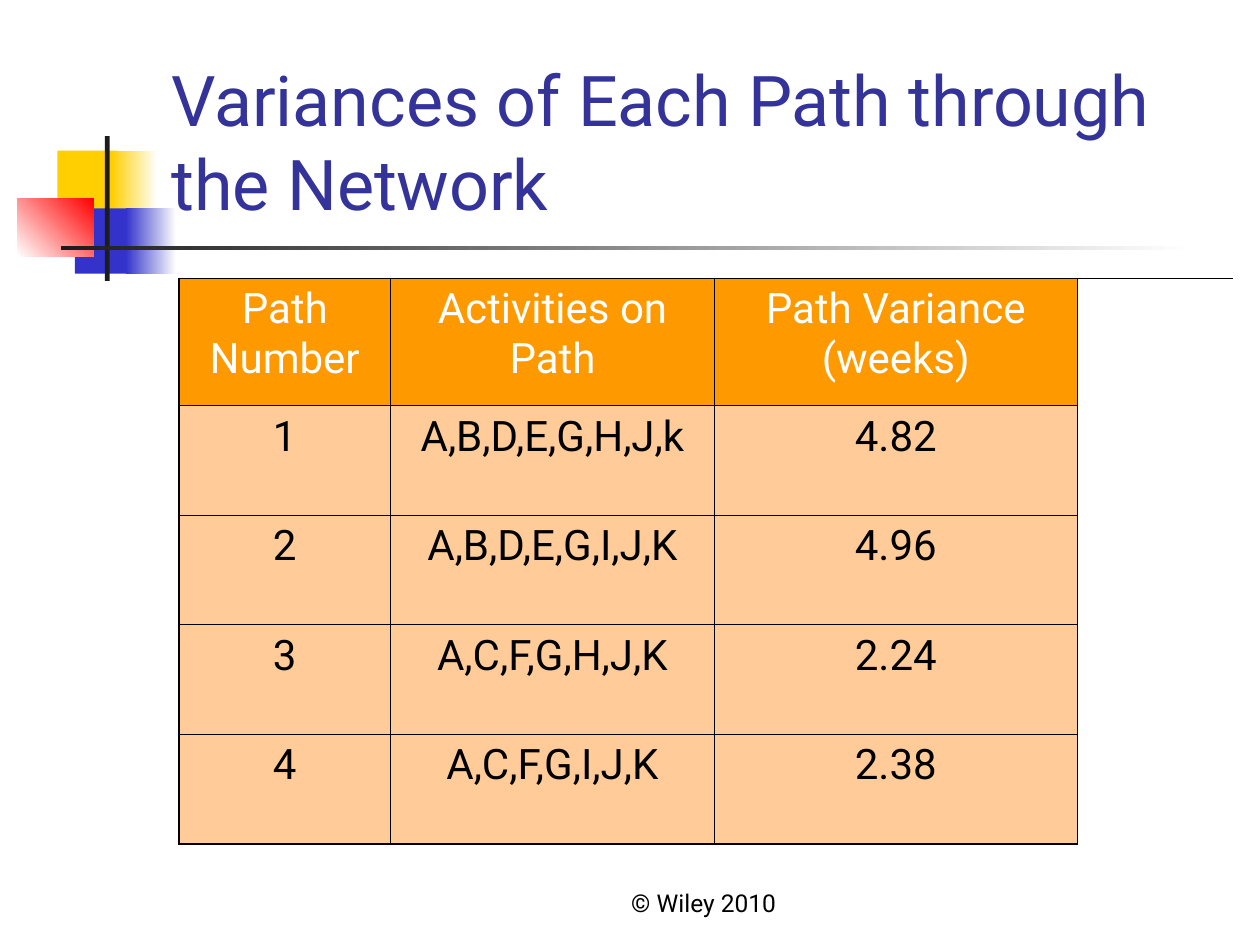
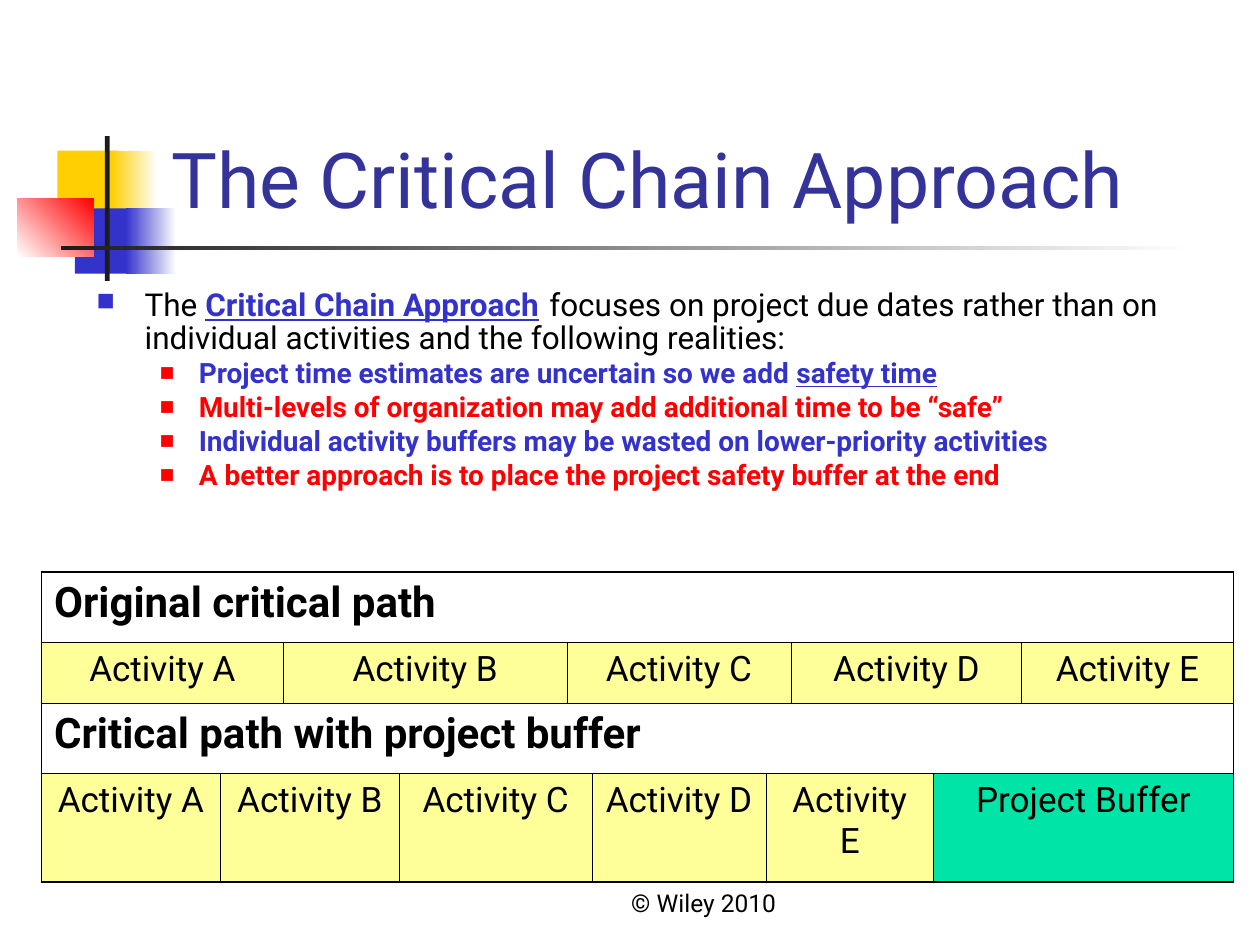
import dataclasses
import itertools

import pptx
import pptx.dml.color
import pptx.enum.shapes
import pptx.enum.text
import pptx.oxml.ns
import pptx.util
from lxml import etree

FONT = "Roboto"
COLORS = {
    "title": "333399", "text": "000000", "white": "FFFFFF", "ink": "1C1C1C",
    "yellow": "FFCF01", "blue": "3333CC", "red": "FF0000",
    "header": "FF9900", "cell": "FFCC99", "activity": "FFFF99", "buffer": "00E4A8",
}
OUTER_LINE, INNER_LINE = 1.08, 0.45
LEFT, CENTER = pptx.enum.text.PP_ALIGN.LEFT, pptx.enum.text.PP_ALIGN.CENTER


@dataclasses.dataclass
class Box:
    left: float
    top: float
    width: float
    height: float

    def share(self, left, top, width, height):
        """Return a box given as shares of this one."""
        return Box(self.left + left * self.width, self.top + top * self.height,
                   width * self.width, height * self.height)

    def inches(self):
        return [pptx.util.Inches(length) for length in
                (self.left, self.top, self.width, self.height)]


@dataclasses.dataclass
class Block:
    """A table cell, or several merged into one."""
    row: int
    column: int
    text: str = ""
    fill: str = ""
    rows: int = 1
    columns: int = 1
    size: int = 24
    color: str = "text"
    bold: bool = False
    align: object = CENTER
    open_sides: str = ""


SLIDE = Box(0, 0, 10, 7.5)
EMBLEM = Box(0.14, 1.08, 1.26, 1.15)
TITLE = Box(1.26, 0.23, 8.52, 1.6)
FOOTER = Box(4, 6.83, 3.17, 0.5)


def rgb(name):
    return pptx.dml.color.RGBColor.from_string(COLORS[name])


def style_font(font, size, color, bold=False):
    font.name = FONT
    font.size = pptx.util.Pt(size)
    font.bold = bold
    font.color.rgb = rgb(color)


# Shared slide parts
def add_block_shape(page, box, colors, angle=0):
    shape = page.shapes.add_shape(pptx.enum.shapes.MSO_SHAPE.RECTANGLE, *box.inches())
    shape.shadow.inherit = False
    shape.line.fill.background()
    if len(colors) == 1:
        shape.fill.solid()
        shape.fill.fore_color.rgb = rgb(colors[0])
    else:
        shape.fill.gradient()
        shape.fill.gradient_angle = angle
        for stop, color in zip(shape.fill.gradient_stops, colors):
            stop.color.rgb = rgb(color)


def add_emblem(page, box):
    for color, top, solid, fade in (
            ("yellow", 0.1, (0.25, 0.38), (0.59, 0.29)),
            ("blue", 0.5, (0.36, 0.37), (0.68, 0.32))):
        for (left, width), colors in ((solid, [color]), (fade, [color, "white"])):
            add_block_shape(page, box.share(left, top, width, 0.45), colors)
    add_block_shape(page, box.share(0, 0.43, 0.48, 0.4), ["white", "red"], 45)
    add_block_shape(page, box.share(0.55, 0, 0.03, 1), ["ink"])
    add_block_shape(page, box.share(0.27, 0.76, 7.14, 0.03), ["ink", "white"])


def add_text_frame(page, box):
    frame = page.shapes.add_textbox(*box.inches()).text_frame
    frame.word_wrap = True
    return frame


def add_footer(page, box):
    frame = add_text_frame(page, box)
    frame.vertical_anchor = pptx.enum.text.MSO_ANCHOR.BOTTOM
    para = frame.paragraphs[0]
    para.text = "© Wiley 2010"
    para.alignment = CENTER
    style_font(para.font, 14, "text")


def place_title(page, box, text, size):
    title = page.shapes.title
    title.left, title.top, title.width, title.height = box.inches()
    title.element.getparent().append(title.element)  # in front of the emblem
    frame = title.text_frame
    frame.text = text
    frame.word_wrap = True
    frame.auto_size = pptx.enum.text.MSO_AUTO_SIZE.NONE
    frame.vertical_anchor = pptx.enum.text.MSO_ANCHOR.BOTTOM
    para = frame.paragraphs[0]
    para.alignment = LEFT
    style_font(para.font, size, "title")


def add_page(deck, title, title_size):
    page = deck.slides.add_slide(deck.slide_layouts.get_by_name("Title Only"))
    add_emblem(page, EMBLEM)
    add_footer(page, FOOTER)
    place_title(page, TITLE, title, title_size)
    return page


# Tables
def add_element(parent, tag, **attributes):
    return etree.SubElement(parent, pptx.oxml.ns.qn(tag), **attributes)


def set_border(cell, side, width):
    line = add_element(cell._tc.get_or_add_tcPr(), f"a:ln{side}",
                       w=str(pptx.util.Pt(width)))
    if width:
        fill = add_element(line, "a:solidFill")
        add_element(fill, "a:srgbClr", val=COLORS["text"])
    else:
        add_element(line, "a:noFill")


def draw_borders(table, block):
    bottom, right = block.row + block.rows, block.column + block.columns
    at_table_edge = {"L": block.column == 0, "R": right == len(table.columns),
                     "T": block.row == 0, "B": bottom == len(table.rows)}
    for row, column in itertools.product(range(block.row, bottom),
                                         range(block.column, right)):
        is_origin = (row, column) == (block.row, block.column)
        at_block_edge = {"L": column == block.column, "R": column == right - 1,
                         "T": row == block.row, "B": row == bottom - 1}
        for side, outer in at_table_edge.items():
            shown = (is_origin or at_block_edge[side]) and side not in block.open_sides
            width = OUTER_LINE if outer else INNER_LINE
            set_border(table.cell(row, column), side, width if shown else 0)


def fill_block(table, block):
    cell = table.cell(block.row, block.column)
    if block.rows * block.columns > 1:
        cell.merge(table.cell(block.row + block.rows - 1,
                              block.column + block.columns - 1))
    draw_borders(table, block)
    if block.fill:
        cell.fill.solid()
        cell.fill.fore_color.rgb = rgb(block.fill)
    else:
        cell.fill.background()
    para = cell.text_frame.paragraphs[0]
    para.text = block.text
    para.alignment = block.align
    style_font(para.font, block.size, block.color, block.bold)


def add_block_table(page, left, top, widths, heights, blocks):
    box = Box(left, top, sum(widths), sum(heights))
    table = page.shapes.add_table(len(heights), len(widths), *box.inches()).table
    table.first_row = table.horz_banding = False
    for column, width in zip(table.columns, widths):
        column.width = pptx.util.Inches(width)
    for row, height in zip(table.rows, heights):
        row.height = pptx.util.Inches(height)
    for block in blocks:
        fill_block(table, block)


def add_variance_table(page, left, top):
    records = [
        ("Path Number", "Activities on Path", "Path Variance (weeks)"),
        ("1", "A,B,D,E,G,H,J,k", "4.82"),
        ("2", "A,B,D,E,G,I,J,K", "4.96"),
        ("3", "A,C,F,G,H,J,K", "2.24"),
        ("4", "A,C,F,G,I,J,K", "2.38"),
    ]
    blocks = [Block(row, column, text, "cell" if row else "header",
                    color="text" if row else "white")
              for row, record in enumerate(records)
              for column, text in enumerate(record)]
    blocks.append(Block(0, 3, rows=len(records), open_sides="RB"))
    add_block_table(page, left, top, [1.68, 2.57, 2.88, 1.24],
                    [1.01] + [0.87] * 4, blocks)


def add_path_table(page, left, top):
    widths = [1.42, 0.5, 0.92, 1.33, 0.2, 1.38, 0.2, 1.13, 0.7, 1.68]
    # Each path: its heading and the columns that its steps span
    paths = [("Original critical path", [2, 2, 3, 2, 1]),
             ("Critical path with project buffer", [1, 2, 2, 1, 2, 2])]
    steps = [(f"Activity {letter}", "activity") for letter in "ABCDE"]
    steps.append(("Project Buffer", "buffer"))
    blocks = []
    for index, (heading, spans) in enumerate(paths):
        blocks.append(Block(2 * index, 0, heading, columns=len(widths),
                            bold=True, align=LEFT))
        starts = itertools.accumulate(spans, initial=0)
        for (text, fill), start, span in zip(steps, starts, spans):
            blocks.append(Block(2 * index + 1, start, text, fill,
                                columns=span, size=20))
    add_block_table(page, left, top, widths, [0.56, 0.48, 0.56, 0.86], blocks)


# Bulleted text
def add_bullet(para, level, color, percent, margin, hanging):
    para.level = level
    para.line_spacing = 0.8
    properties = para._p.get_or_add_pPr()
    properties.set("marL", str(pptx.util.Inches(margin)))
    properties.set("indent", str(pptx.util.Inches(-hanging)))
    bullet_color = add_element(properties, "a:buClr")
    add_element(bullet_color, "a:srgbClr", val=COLORS[color])
    add_element(properties, "a:buSzPct", val=str(percent * 1000))
    add_element(properties, "a:buFont", typeface=FONT)
    add_element(properties, "a:buChar", char="■")


def add_span(para, text):
    span = para.add_run()
    span.text = text
    return span


def add_realities(page, box):
    frame = add_text_frame(page, box)
    lead = frame.paragraphs[0]
    add_bullet(lead, 0, "blue", 60, 0.38, 0.38)
    style_font(lead.font, 18, "text")
    add_span(lead, "The ")
    term = add_span(lead, "Critical Chain Approach")
    style_font(term.font, 18, "blue", bold=True)
    term.font.underline = True
    add_span(lead, " ").font.size = pptx.util.Pt(24)
    add_span(lead, "focuses on project due dates rather than on individual "
                   "activities and the following realities:")

    points = [
        ("Project time estimates are uncertain so we add ", "safety time"),
        ("Multi-levels of organization may add additional time to be “safe”", ""),
        ("Individual activity buffers may be wasted on lower-priority activities", ""),
        ("A better approach is to place the project safety buffer at the end", ""),
    ]
    for (text, underlined), color in zip(points, itertools.cycle(["blue", "red"])):
        para = frame.add_paragraph()
        para.space_before = pptx.util.Pt(4)
        add_bullet(para, 1, "red", 55, 0.81, 0.31)
        style_font(para.font, 16, color, bold=True)
        add_span(para, text)
        if underlined:
            add_span(para, underlined).font.underline = True


def main():
    deck = pptx.Presentation()
    deck.slide_width = pptx.util.Inches(SLIDE.width)
    deck.slide_height = pptx.util.Inches(SLIDE.height)

    variances = add_page(deck, "Variances of Each Path through the Network", 40)
    add_variance_table(variances, 1.42, 2.21)

    chain = add_page(deck, "The Critical Chain Approach", 44)
    add_realities(chain, Box(0.67, 2.21, 9.13, 1.88))
    add_path_table(chain, 0.33, 4.54)

    deck.save("out.pptx")


if __name__ == "__main__":
    main()
